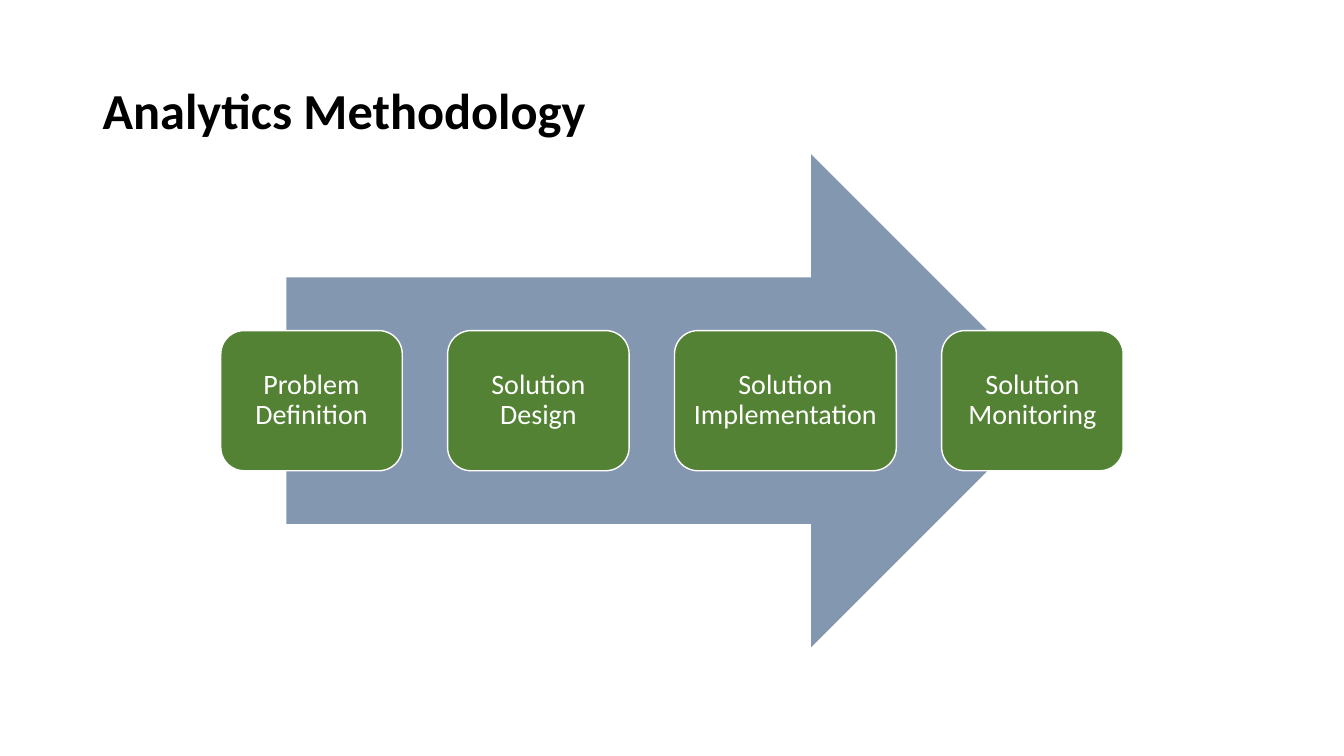
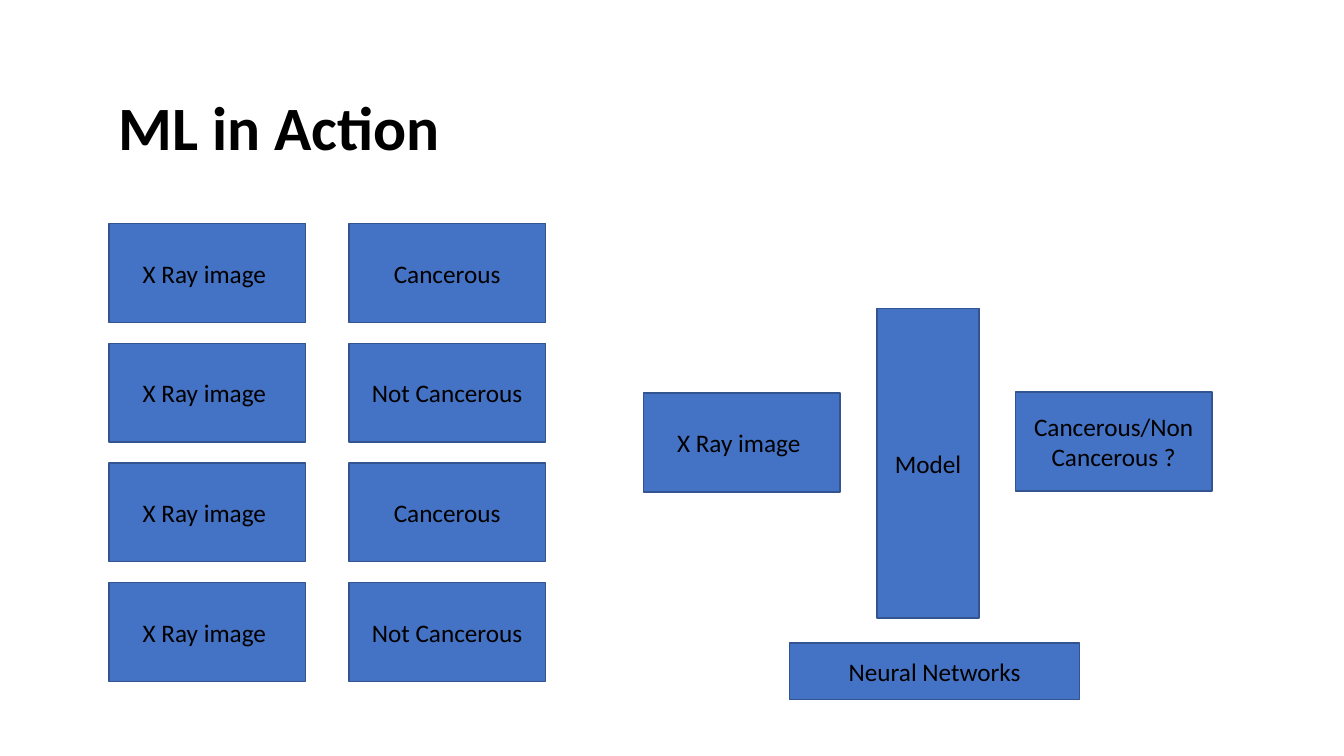
from pptx import Presentation
from pptx.dml.color import RGBColor
from pptx.enum.shapes import MSO_SHAPE as Shape
from pptx.enum.text import MSO_ANCHOR as Anchor, PP_ALIGN as Align
from pptx.util import Inches, Pt

# Shared style
FONT = "Calibri"
BLACK = RGBColor(0x00, 0x00, 0x00)
WHITE = RGBColor(0xFF, 0xFF, 0xFF)
SLATE = RGBColor(0x84, 0x97, 0xB0)
GREEN = RGBColor(0x54, 0x82, 0x35)
BLUE = RGBColor(0x44, 0x72, 0xC4)
NAVY = RGBColor(0x32, 0x54, 0x91)
TITLE_WIDTH, TITLE_HEIGHT = 11.5, 1.45

# Methodology steps: label and width
STEPS = [
    ("Problem Definition", 1.8),
    ("Solution Design", 1.8),
    ("Solution Implementation", 2.2),
    ("Solution Monitoring", 1.8),
]
STEP_LEFT, STEP_TOP, STEP_HEIGHT, STEP_GAP = 2.19, 3.28, 1.39, 0.45

# Training examples: image and its diagnosis
IMAGE = "X Ray image "
DIAGNOSES = ["Cancerous", "Not Cancerous"] * 2
CARD_WIDTH, CARD_HEIGHT = 1.95, 0.98
IMAGE_LEFT, DIAGNOSIS_LEFT = 1.08, 3.46
FIRST_TOP, LAST_TOP = 2.22, 5.78


def write(shape, text, size, color, align, spacing=1.0, bold=False):
    frame = shape.text_frame
    frame.word_wrap = True
    frame.vertical_anchor = Anchor.MIDDLE
    para = frame.paragraphs[0]
    para.alignment = align
    para.line_spacing = spacing
    span = para.add_run()
    span.text = text
    span.font.name = FONT
    span.font.size = Pt(size)
    span.font.bold = bold
    span.font.color.rgb = color


def add_title(page, text, left, top, size):
    box = page.shapes.add_textbox(
        Inches(left), Inches(top), Inches(TITLE_WIDTH), Inches(TITLE_HEIGHT))
    write(box, text, size, BLACK, Align.LEFT, 0.9, bold=True)


def add_block(page, kind, left, top, width, height, fill, line=None):
    block = page.shapes.add_shape(
        kind, Inches(left), Inches(top), Inches(width), Inches(height))
    block.shadow.inherit = False
    block.fill.solid()
    block.fill.fore_color.rgb = fill
    if line is None:
        block.line.fill.background()
    else:
        block.line.color.rgb = line
        block.line.width = Pt(1)
    return block


def add_step(page, text, left, width):
    step = add_block(page, Shape.ROUNDED_RECTANGLE, left, STEP_TOP,
                     width, STEP_HEIGHT, GREEN, WHITE)
    frame = step.text_frame
    frame.margin_left = frame.margin_right = Inches(0.08)
    frame.margin_top = frame.margin_bottom = Inches(0.08)
    write(step, text, 20, WHITE, Align.CENTER, 0.9)


def add_card(page, text, left, top, width=CARD_WIDTH, height=CARD_HEIGHT):
    card = add_block(page, Shape.RECTANGLE, left, top, width, height, BLUE, NAVY)
    write(card, text, 18, BLACK, Align.CENTER)


def build_methodology(page):
    add_title(page, "Analytics Methodology", 0.92, 0.4, 36)
    add_block(page, Shape.RIGHT_ARROW, 2.84, 1.53, 7.65, 4.89, SLATE)
    left = STEP_LEFT
    for text, width in STEPS:
        add_step(page, text, left, width)
        left += width + STEP_GAP


def build_ml_in_action(page):
    add_title(page, "ML in Action", 1.08, 0.57, 44)

    # Labelled examples
    pitch = (LAST_TOP - FIRST_TOP) / (len(DIAGNOSES) - 1)
    for row, diagnosis in enumerate(DIAGNOSES):
        top = FIRST_TOP + row * pitch
        add_card(page, IMAGE, IMAGE_LEFT, top)
        add_card(page, diagnosis, DIAGNOSIS_LEFT, top)

    # Prediction
    add_card(page, IMAGE, 6.38, 3.9)
    add_card(page, "Model", 8.7, 3.06, 1.01, 3.07)
    add_card(page, "Cancerous/Non Cancerous ?", 10.07, 3.89)
    add_card(page, "Neural Networks", 7.83, 6.38, 2.88, 0.56)


def main():
    deck = Presentation()
    deck.slide_width, deck.slide_height = Inches(13.33), Inches(7.5)
    blank = deck.slide_layouts[6]
    for build in (build_methodology, build_ml_in_action):
        build(deck.slides.add_slide(blank))
    deck.save("out.pptx")


if __name__ == "__main__":
    main()
